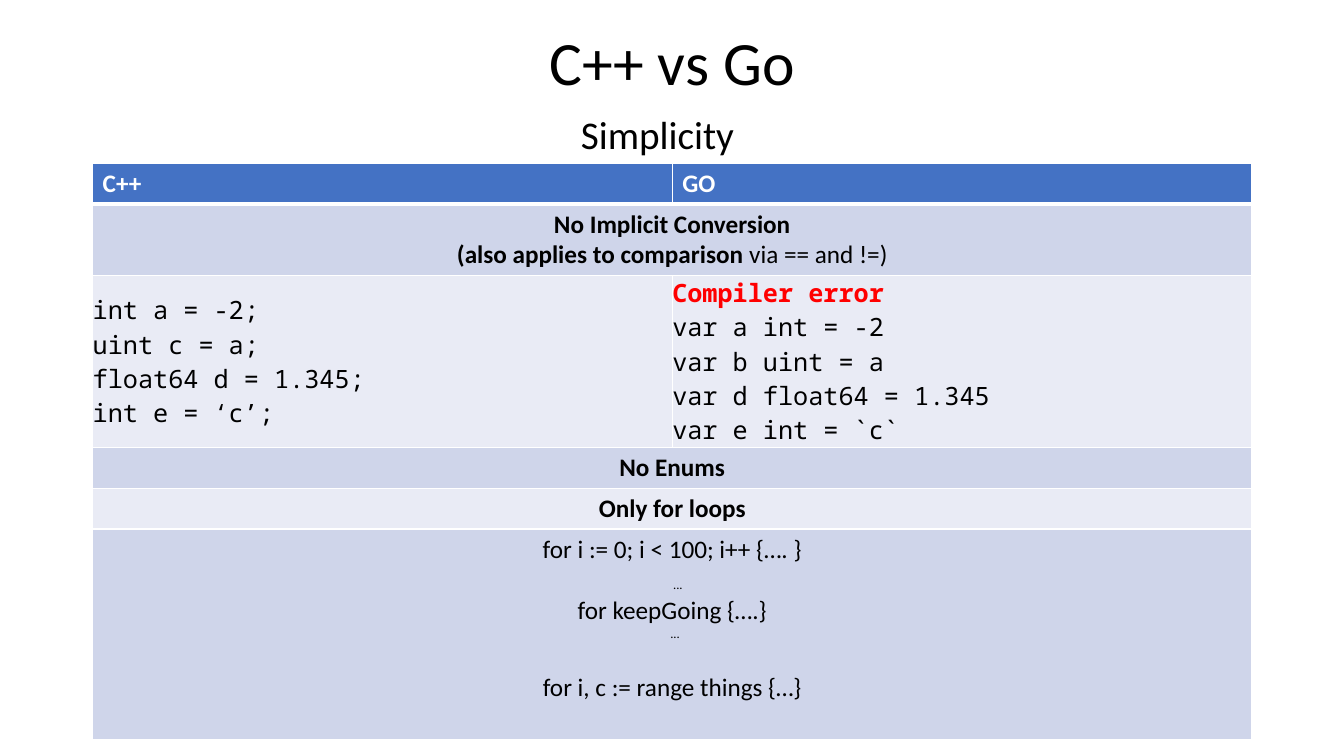
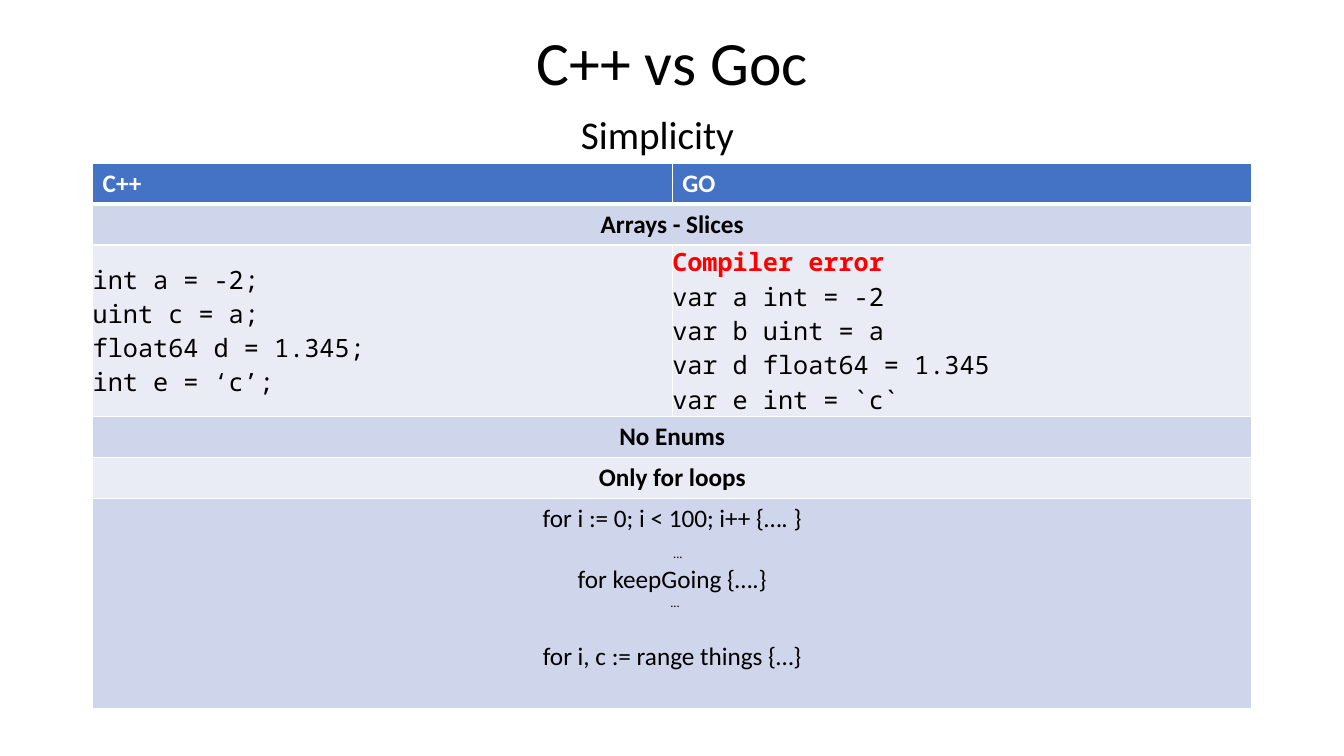
from dataclasses import dataclass

import lxml.etree
import pptx
import pptx.dml.color
import pptx.enum.text
import pptx.oxml.ns
import pptx.util

Pt = pptx.util.Pt
ALIGN = pptx.enum.text.PP_ALIGN
ANCHOR = pptx.enum.text.MSO_ANCHOR

SANS, MONO = "Calibri", "Noto Sans Mono"
BLACK, WHITE, RED = "000000", "FFFFFF", "FF0000"
BLUE, DARK, LIGHT = "4472C4", "CFD5EA", "E9EBF5"
LEFT, WIDTH = 66.2, 828
TOP = 116.6
LINE, PAD = 22, 7.2
CODE_LINE = 24.5


@dataclass(frozen=True)
class Line:
    text: str
    tail: str = ""  # regular text after a bold start
    bold: bool = False
    size: float = 18
    color: str = BLACK
    before: float = 0
    after: float = 0
    indent: float = 0


@dataclass(frozen=True)
class Row:
    cells: tuple[tuple[Line, ...], ...]
    fill: str
    height: float = LINE + PAD
    code: bool = False


def rgb(color: str) -> pptx.dml.color.RGBColor:
    return pptx.dml.color.RGBColor.from_string(color)


def write(para, text: str, *, size: float = 18, bold: bool = False,
          color: str = BLACK, font: str = SANS) -> None:
    run = para.add_run()
    run.text = text
    run.font.size = Pt(size)
    run.font.bold = bold
    run.font.name = font
    run.font.color.rgb = rgb(color)


def edge(cell, top: float, bottom: float) -> None:
    """Give a cell white borders of the given top and bottom widths."""
    props = cell._tc.get_or_add_tcPr()
    sides = (("L", 1), ("R", 1), ("T", top), ("B", bottom))
    for index, (side, width) in enumerate(sides):
        line = lxml.etree.Element(pptx.oxml.ns.qn(f"a:ln{side}"), w=str(Pt(width)))
        fill = lxml.etree.SubElement(line, pptx.oxml.ns.qn("a:solidFill"))
        lxml.etree.SubElement(fill, pptx.oxml.ns.qn("a:srgbClr"), val=WHITE)
        props.insert(index, line)


def fill_cell(cell, lines: tuple[Line, ...], row: Row) -> None:
    frame = cell.text_frame
    if row.code:
        cell.vertical_anchor = ANCHOR.MIDDLE
        cell.margin_left = cell.margin_right = Pt(0)
        cell.margin_top = cell.margin_bottom = Pt(0)
    for index, line in enumerate(lines):
        para = frame.add_paragraph() if index else frame.paragraphs[0]
        para.alignment = ALIGN.CENTER if len(row.cells) == 1 else ALIGN.LEFT
        para.space_before, para.space_after = Pt(line.before), Pt(line.after)
        if line.indent:
            para._p.get_or_add_pPr().set("marL", str(Pt(line.indent)))
        write(para, line.text, size=line.size, bold=line.bold, color=line.color,
              font=MONO if row.code else SANS)
        if line.tail:
            write(para, line.tail, size=line.size, color=line.color)


def add_grid(slide, rows: list[Row]) -> None:
    total = sum(row.height for row in rows)
    grid = slide.shapes.add_table(
        len(rows), 2, Pt(LEFT), Pt(TOP), Pt(WIDTH), Pt(total)).table
    grid.first_row = grid.horz_banding = False
    for index, row in enumerate(rows):
        grid.rows[index].height = Pt(row.height)
        for col in range(2):
            cell = grid.cell(index, col)
            cell.fill.solid()
            cell.fill.fore_color.rgb = rgb(row.fill)
            edge(cell, 3 if index == 1 else 1, 3 if index == 0 else 1)
        if len(row.cells) == 1:
            grid.cell(index, 0).merge(grid.cell(index, 1))
        for col, lines in enumerate(row.cells):
            fill_cell(grid.cell(index, col), lines, row)


def add_page(deck, title: str, topic: tuple[Line, ...]) -> None:
    slide = deck.slides.add_slide(deck.slide_layouts[5])
    head = slide.shapes.title
    head.left, head.top = Pt(LEFT), Pt(18)
    head.width, head.height = Pt(WIDTH), Pt(57)
    head.text_frame.vertical_anchor = ANCHOR.MIDDLE
    para = head.text_frame.paragraphs[0]
    para.alignment, para.line_spacing = ALIGN.CENTER, 0.9
    write(para, title, size=44)

    first = Row((topic,), DARK, LINE * len(topic) + PAD)
    add_grid(slide, [HEADER, first, *COMMON])

    box = slide.shapes.add_textbox(Pt(407.8), Pt(75.4), Pt(125), Pt(41))
    box.text_frame.word_wrap = False
    box.text_frame.auto_size = pptx.enum.text.MSO_AUTO_SIZE.SHAPE_TO_FIT_TEXT
    write(box.text_frame.paragraphs[0], "Simplicity", size=28)


HEADER = Row(tuple((Line(name, bold=True, color=WHITE),) for name in ("C++", "GO")), BLUE)
CPP = tuple(map(Line, (
    "int a = -2;", "uint c = a;", "float64 d = 1.345;", "int e = ‘c’;")))
GO = (Line("Compiler error", bold=True, color=RED), *map(Line, (
    "var a int = -2", "var b uint = a", "var d float64 = 1.345", "var e int = `c`")))
LOOPS = (
    Line("for i := 0; i < 100; i++ {…. }"),
    Line("...", size=9, before=8.8, after=2.2, indent=8),
    Line("for keepGoing {….}"),
    Line("...", size=9, after=LINE, indent=4),
    Line("for i, c := range things {…}"),
)
COMMON = (
    Row((CPP, GO), LIGHT, CODE_LINE * len(GO), code=True),
    Row(((Line("No Enums", bold=True),),), DARK),
    Row(((Line("Only for loops", bold=True),),), LIGHT),
    Row((LOOPS,), DARK, 6.5 * LINE + PAD),
)
PAGES = (
    ("C++ vs Go", (
        Line("No Implicit Conversion", bold=True),
        Line("(also applies to comparison ", "via == and !=)", bold=True))),
    ("C++ vs Goc", (Line("Arrays - Slices", bold=True),)),
)


def main() -> None:
    deck = pptx.Presentation()
    deck.slide_width, deck.slide_height = Pt(960), Pt(540)
    for title, topic in PAGES:
        add_page(deck, title, topic)
    deck.save("out.pptx")


if __name__ == "__main__":
    main()
